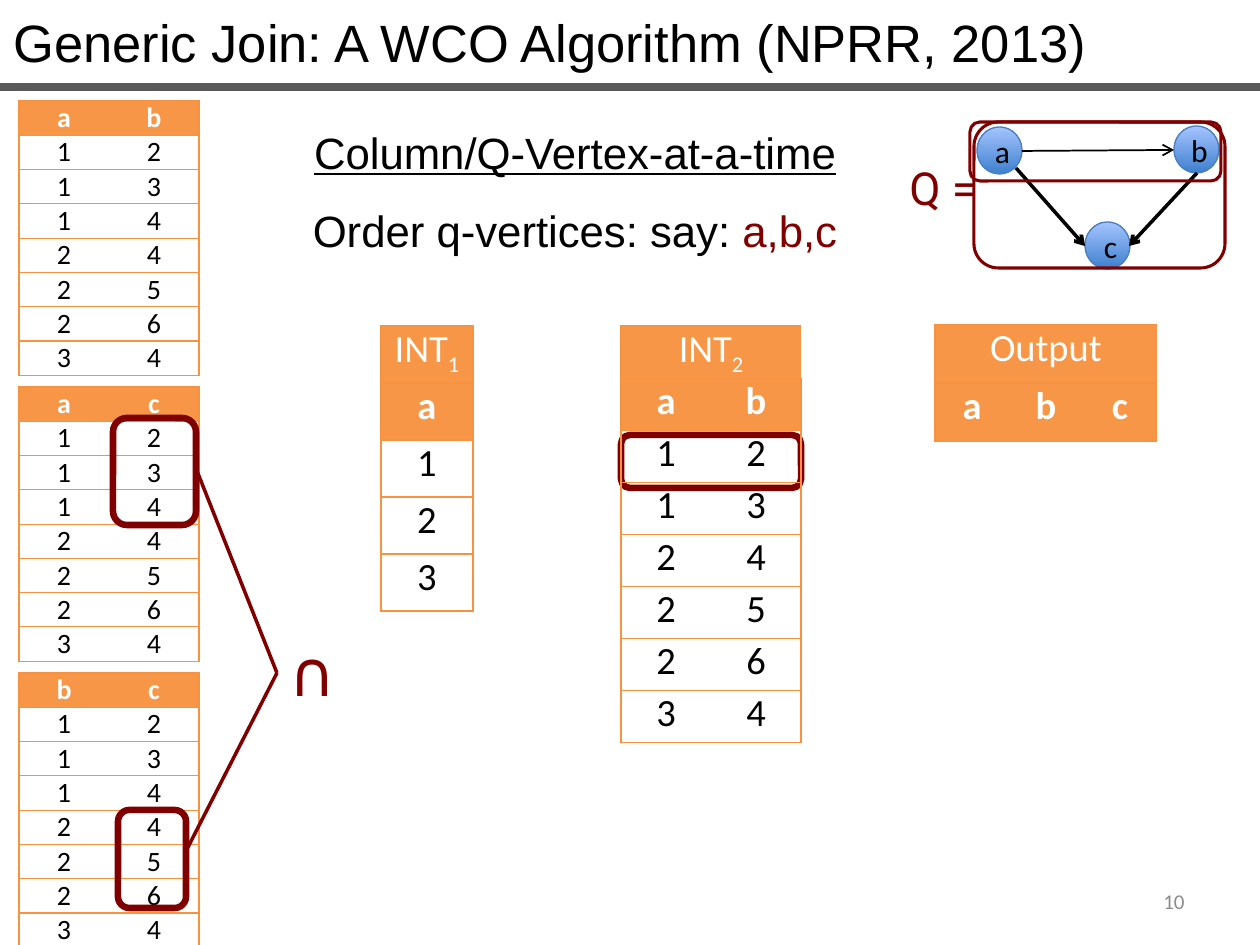
from dataclasses import dataclass

from lxml import etree
from pptx import Presentation
from pptx.dml.color import RGBColor
from pptx.enum.shapes import MSO_CONNECTOR, MSO_SHAPE
from pptx.enum.text import MSO_ANCHOR, PP_ALIGN
from pptx.oxml.ns import qn
from pptx.util import Pt

PX = 914400 / 126
LEFT, CENTER, RIGHT = PP_ALIGN.LEFT, PP_ALIGN.CENTER, PP_ALIGN.RIGHT
TOP, MIDDLE = MSO_ANCHOR.TOP, MSO_ANCHOR.MIDDLE
OVAL, ROUND_RECT = MSO_SHAPE.OVAL, MSO_SHAPE.ROUNDED_RECTANGLE
STRAIGHT = MSO_CONNECTOR.STRAIGHT
PLAIN_TABLE = "{2D5ABB26-0587-4C30-8999-92F81FD0307C}"


@dataclass(frozen=True)
class Theme:
    black: str = "000000"
    white: str = "FFFFFF"
    maroon: str = "800000"
    orange: str = "F79646"
    grid: str = "F69240"
    rule: str = "595959"
    node_dark: str = "3F80CE"
    node_light: str = "A4C4FF"
    node_line: str = "4B7EBC"
    page: str = "8C8C8C"
    title_pt: int = 30
    query_pt: int = 26
    body_pt: int = 25
    table_pt: int = 22
    node_pt: int = 18
    small_pt: int = 16
    page_pt: int = 12
    symbol_pt: int = 36


T = Theme()


def emu(*lengths):
    return [round(n * PX) for n in lengths]


def rgb(color):
    return RGBColor.from_string(color)


def add_run(p, text, size, color, font="Calibri", bold=False):
    r = p.add_run()
    r.text = text
    r.font.size, r.font.name, r.font.bold = Pt(size), font, bold
    r.font.color.rgb = rgb(color)
    return r


def add_table(x, y, col_w, row_h, size, rows, title=None):
    """Column names come first in rows; title is a (text, subscript) pair."""
    if title:
        rows = [" " * len(rows[0])] + rows
    n_rows, n_cols = len(rows), len(rows[0])
    headers = 2 if title else 1
    box = emu(x, y, col_w * n_cols, row_h * n_rows)
    table = s.shapes.add_table(n_rows, n_cols, *box).table
    table._tbl.tblPr.find(qn("a:tableStyleId")).text = PLAIN_TABLE
    for col in table.columns:
        col.width = emu(col_w)[0]
    for row in table.rows:
        row.height = emu(row_h)[0]
    if title and n_cols > 1:
        table.cell(0, 0).merge(table.cell(0, n_cols - 1))
    for i, row in enumerate(rows):
        for j, value in enumerate(row):
            cell = table.cell(i, j)
            cell.margin_top = cell.margin_bottom = 0
            sides = ["lnL"] * (j == 0) + ["lnR"] * (j == n_cols - 1) + ["lnT", "lnB"]
            tc_pr = cell._tc.get_or_add_tcPr()
            for side in sides:
                ln = etree.SubElement(tc_pr, qn("a:" + side), w=str(Pt(0.75)))
                fill = etree.SubElement(ln, qn("a:solidFill"))
                etree.SubElement(fill, qn("a:srgbClr"), val=T.grid)
            if i < headers:
                cell.fill.solid()
                cell.fill.fore_color.rgb = rgb(T.orange)
            else:
                cell.fill.background()
            p = cell.text_frame.paragraphs[0]
            p.alignment = CENTER
            if title and i == 0:
                if j == 0:
                    add_run(p, title[0], size, T.white)
                    if title[1]:
                        sub = add_run(p, title[1], size, T.white)
                        sub.font._element.set("baseline", "-25000")
            else:
                header = i < headers
                add_run(p, value, size, T.white if header else T.black, bold=header)


prs = Presentation()
prs.slide_width, prs.slide_height = emu(1260, 945)
s = prs.slides.add_slide(prs.slide_layouts[6])

# Base relations
edges = ["12", "13", "14", "24", "25", "26", "34"]
for y, names in [(101, "ab"), (387, "ac"), (673, "bc")]:
    add_table(19, y, 90, 33, T.small_pt, [names] + edges)

# Query graph nodes
for name, x, y in [("a", 977, 127), ("b", 1174, 126), ("c", 1085, 222)]:
    sp = s.shapes.add_shape(OVAL, *emu(x, y, 45, 47))
    sp.shadow.inherit = False
    sp.fill.gradient()
    sp.fill.gradient_angle = 90
    for stop, color in zip(sp.fill.gradient_stops, (T.node_dark, T.node_light)):
        stop.color.rgb = rgb(color)
    sp.line.color.rgb = rgb(T.node_line)
    sp.line.width = Pt(0.75)
    tf = sp.text_frame
    tf.margin_left, tf.margin_right = emu(6, 0)
    tf.vertical_anchor = MIDDLE
    tf.paragraphs[0].alignment = CENTER
    add_run(tf.paragraphs[0], name, T.node_pt, T.black)

# Title rule, query edges and intersection lines
for x1, y1, x2, y2, color, width, arrow in [
    (0, 87, 1260, 87, T.rule, 4.5, False),
    (1022, 151, 1174, 150, T.black, 1, True),
    (1016, 168, 1085, 246, T.black, 0, True),
    (1197, 173, 1129, 246, T.black, 0, True),
    (185, 853, 277, 673, T.maroon, 2, False),
    (197, 471, 277, 673, T.maroon, 2, False),
]:
    line = s.shapes.add_connector(STRAIGHT, *emu(x1, y1, x2, y2))
    line.line.color.rgb = rgb(color)
    line.line.width = Pt(width)
    if arrow:
        etree.SubElement(line.line._get_or_add_ln(), qn("a:tailEnd"), type="arrow")
    etree.SubElement(line._element.spPr, qn("a:effectLst"))

# Intermediate results, with the current tuple and its matches outlined
add_table(381, 326, 92, 57, T.table_pt, ["a", "1", "2", "3"], ("INT", "1"))
for x, y, w, h, width in [
    (621, 435, 180, 53, 3.75),
    (113, 418, 83, 107, 3.75),
    (118, 810, 68, 98, 3.75),
    (974, 122, 251, 146, 1.75),
    (970, 122, 251, 59, 1.75),
]:
    sp = s.shapes.add_shape(ROUND_RECT, *emu(x, y, w, h))
    sp.shadow.inherit = False
    sp.fill.background()
    sp.line.color.rgb = rgb(T.maroon)
    sp.line.width = Pt(width)
add_table(621, 326, 90, 52, T.table_pt, ["ab"] + edges[:2] + edges[3:], ("INT", "2"))
add_table(935, 325, 74, 58, T.table_pt, ["abc"], ("Output", ""))

# Single-line texts
for text, x, y, w, h, size, font, color, align, anchor in [
    ("Generic Join: A WCO Algorithm (NPRR, 2013)", 1, 4, 1259, 77,
     T.title_pt, "Arial", T.black, LEFT, TOP),
    ("Q =", 897, 154, 111, 68, T.query_pt, "Roboto", T.maroon, LEFT, TOP),
    ("∩", 277, 627, 89, 89, T.symbol_pt, "Roboto", T.maroon, LEFT, TOP),
    ("10", 903, 876, 294, 50, T.page_pt, "Calibri", T.page, RIGHT, MIDDLE),
]:
    tf = s.shapes.add_textbox(*emu(x, y, w, h)).text_frame
    tf.word_wrap = True
    tf.vertical_anchor = anchor
    tf.paragraphs[0].alignment = align
    add_run(tf.paragraphs[0], text, size, color, font)

# Method summary
tf = s.shapes.add_textbox(*emu(297, 93, 556, 168)).text_frame
tf.word_wrap = False
heading, order = tf.paragraphs[0], tf.add_paragraph()
for p in (heading, order):
    p.alignment = CENTER
    p.line_spacing = 1.5
r = add_run(heading, "Column/Q-Vertex-at-a-time", T.body_pt, T.black, "Arial")
r.font.underline = True
add_run(order, "Order q-vertices: say: ", T.body_pt, T.black, "Arial")
add_run(order, "a,b,c", T.body_pt, T.maroon, "Arial")

prs.save("out.pptx")
